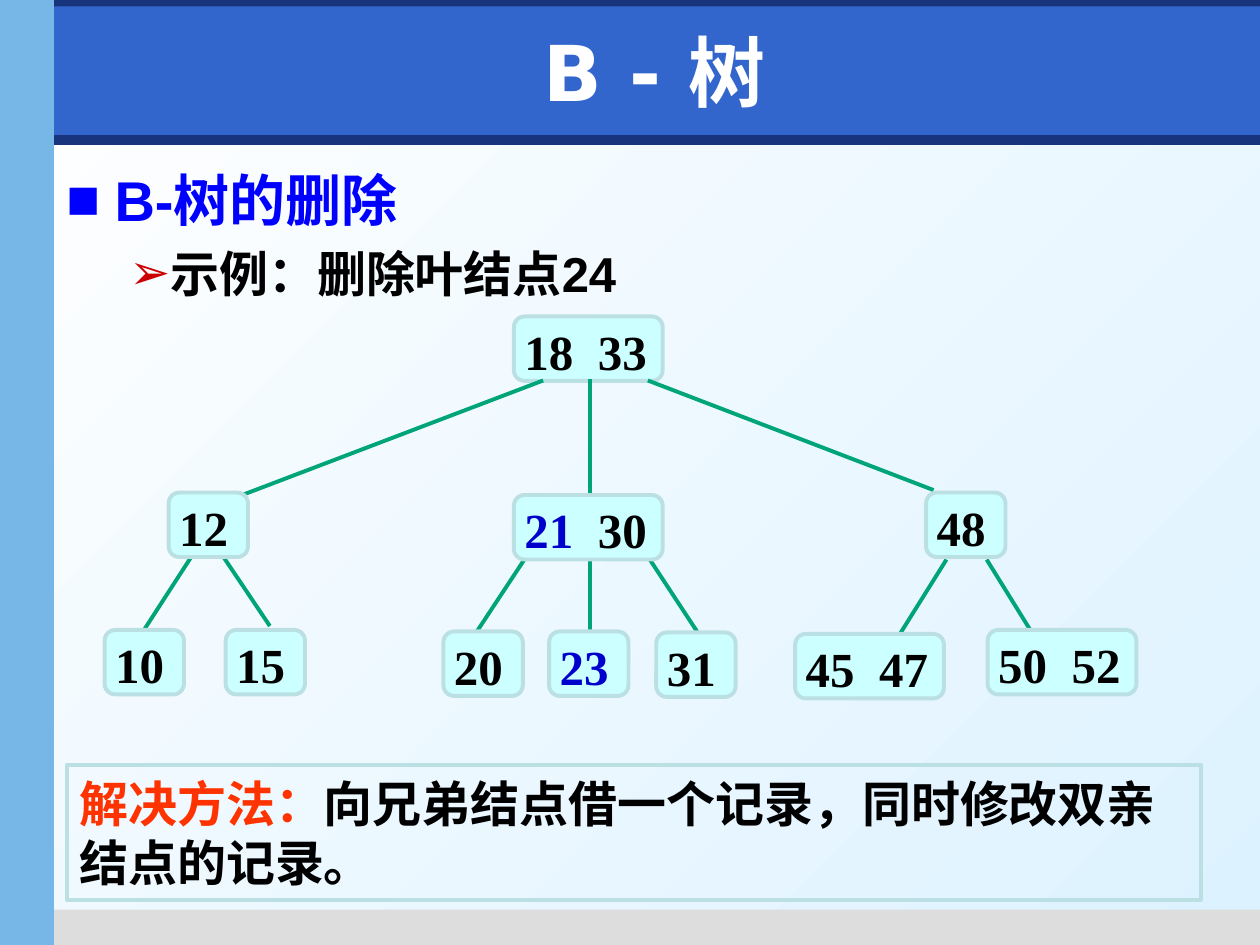
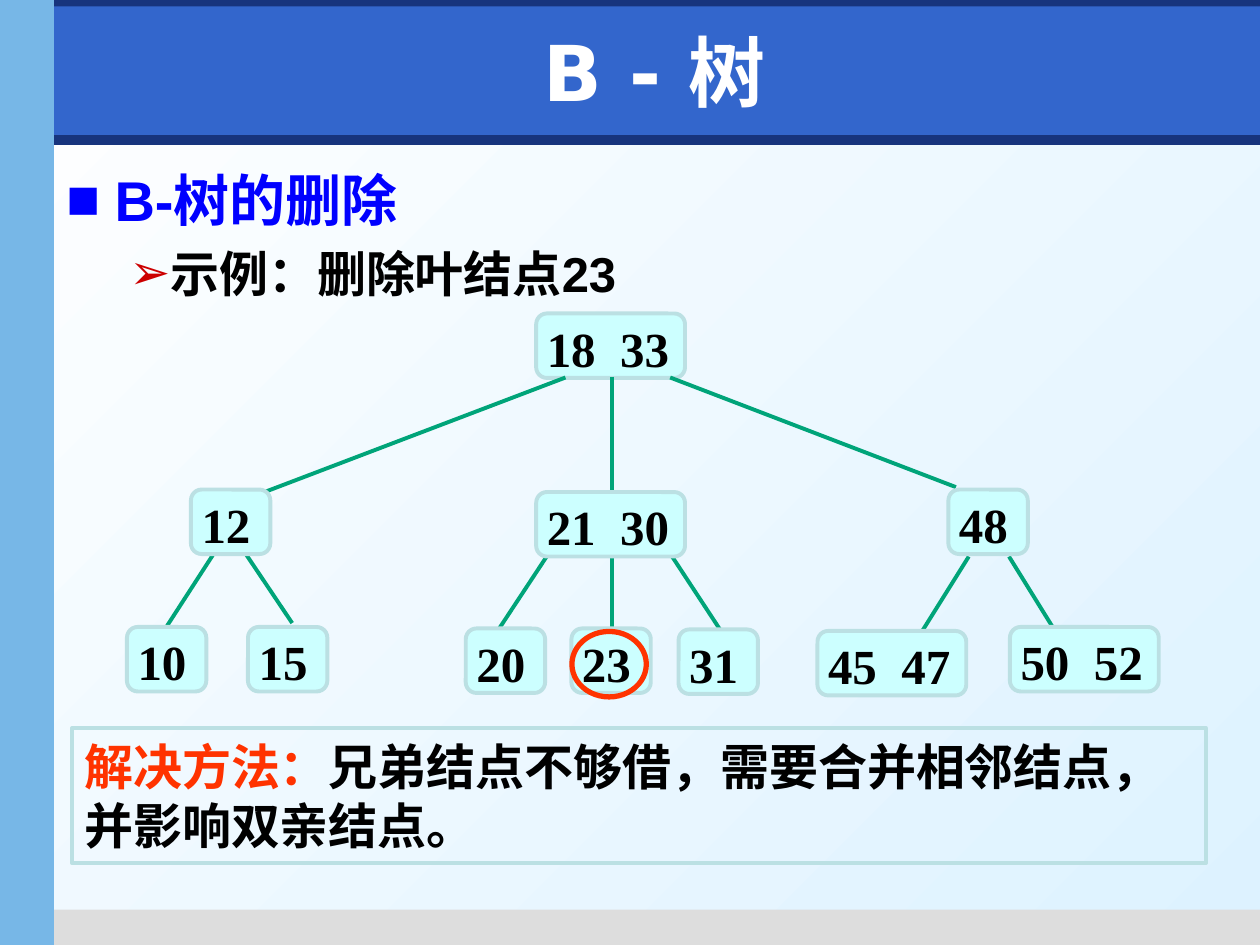
"""Builds two slides on deleting leaf nodes from a B-tree."""
from dataclasses import dataclass

from lxml import etree
from pptx import Presentation, util as u
from pptx.dml.color import RGBColor
from pptx.enum import shapes, text
from pptx.oxml.ns import qn


@dataclass(frozen=True)
class Theme:
    navy: str = "17347D"
    royal: str = "3366CC"
    sky: str = "77B7E7"
    grey: str = "DDDDDD"
    white: str = "FFFFFF"
    pale: str = "DDF2FF"
    black: str = "000000"
    heading: str = "0000FF"
    arrow: str = "CC0000"
    node: str = "CCFFFF"
    border: str = "BBE0E3"
    branch: str = "00A479"
    changed: str = "0000CC"
    alert: str = "FF3300"
    title_size: int = 44
    heading_size: int = 32
    text_size: int = 28
    line: float = 2.25
    ring_line: float = 3
    title_font: str = "DejaVu Sans"
    body_font: str = "Arial"
    node_font: str = "Times New Roman"


BANDS = [
    ("navy", 0.1, 2.72, 25.3, 0.2),
    ("grey", 0.89, 18.34, 24.51, 0.71),
    ("navy", 0, 0, 25.4, 0.53),
    ("royal", 1.09, 0.13, 24.31, 2.59),
    ("sky", 0, 0, 1.09, 19.05),
]
NODE_WIDTHS = {1: 1.6, 2: 3}
NODE_HEIGHT = 1.3
ROOT = ((18, 33), 10.36, 6.38)
CHILDREN = [
    ((12,), 3.4, 9.93), ((21, 30), 10.36, 9.98), ((48,), 18.67, 9.93),
    ((10,), 2.11, 12.7), ((15,), 4.55, 12.7),
    ((20,), 8.94, 12.73), ((23,), 11.07, 12.73), ((31,), 13.23, 12.75),
    ((45, 47), 16.03, 12.78), ((50, 52), 19.91, 12.7),
]
BRANCHES = [
    (10.95, 7.67, 4.88, 9.98), (11.89, 7.65, 11.89, 9.93),
    (13.06, 7.67, 18.82, 9.88),
    (3.84, 11.25, 2.87, 12.75), (4.52, 11.25, 5.44, 12.62),
    (10.57, 11.28, 9.58, 12.78), (11.89, 11.28, 11.89, 12.83),
    (13.08, 11.25, 14.15, 12.88),
    (19.08, 11.28, 18.11, 12.83), (19.89, 11.28, 20.85, 12.83),
]


def cm(*lengths):
    return [u.Cm(length) for length in lengths]


class Deck:
    def __init__(self, theme):
        self.theme = theme
        self.prs = Presentation()
        self.prs.slide_width, self.prs.slide_height = cm(25.4, 19.05)
        self.layout = self.prs.slide_layouts[5]
        self.slide = None

    def color(self, name):
        return RGBColor.from_string(getattr(self.theme, name))

    def start_slide(self, title):
        first = self.slide is None
        self.slide = self.prs.slides.add_slide(self.layout)
        if first:
            self.dress_layout()
        heading = self.slide.shapes.title
        heading.left, heading.top, heading.width, heading.height = cm(1.5, 0.33, 23.39, 2.21)
        frame = heading.text_frame
        frame.auto_size = text.MSO_AUTO_SIZE.NONE
        frame.vertical_anchor = text.MSO_ANCHOR.MIDDLE
        frame.paragraphs[0].alignment = text.PP_ALIGN.CENTER
        self.run(frame.paragraphs[0], title, "white", self.theme.title_size, self.theme.title_font)

    def dress_layout(self):
        for holder in list(self.layout.placeholders):
            if holder.placeholder_format.idx:
                self.layout.shapes.element.remove(holder.element)
        backdrop = self.layout.background.fill
        backdrop.gradient()
        backdrop.gradient_angle = 315
        for stop, name in zip(backdrop.gradient_stops, ("white", "pale")):
            stop.color.rgb = self.color(name)
        for fill, *box in BANDS:
            band = self.shape(shapes.MSO_SHAPE.RECTANGLE, box, fill)
            self.layout.shapes.element.append(band.element)

    def run(self, paragraph, words, color, size, font):
        run = paragraph.add_run()
        run.text = words
        run.font.name, run.font.size, run.font.bold = font, u.Pt(size), True
        run.font.color.rgb = self.color(color)

    def shape(self, preset, box, fill=None, line=None, weight=None):
        shape = self.slide.shapes.add_shape(preset, *cm(*box))
        shape.shadow.inherit = False
        if fill:
            shape.fill.solid()
            shape.fill.fore_color.rgb = self.color(fill)
        else:
            shape.fill.background()
        if line:
            shape.line.color.rgb = self.color(line)
            shape.line.width = u.Pt(weight or self.theme.line)
        else:
            shape.line.fill.background()
        return shape

    def bullet(self, paragraph, mark, color, margin, hang):
        props = paragraph._p.get_or_add_pPr()
        props.set("marL", str(u.Cm(margin)))
        props.set("indent", str(-u.Cm(hang)))
        tint = etree.SubElement(props, qn("a:buClr"))
        etree.SubElement(tint, qn("a:srgbClr"), val=getattr(self.theme, color))
        etree.SubElement(props, qn("a:buFont"), typeface=self.theme.body_font)
        etree.SubElement(props, qn("a:buChar"), char=mark)

    def outline(self, topic, example):
        frame = self.slide.shapes.add_textbox(*cm(1.09, 3.22, 23.8, 14.9)).text_frame
        frame.word_wrap = True
        head, sub = frame.paragraphs[0], frame.add_paragraph()
        self.bullet(head, "■", "heading", 0.97, 0.97)
        self.run(head, topic, "heading", self.theme.heading_size, self.theme.body_font)
        sub.level = 1
        self.bullet(sub, "➢", "arrow", 2.06, 0.79)
        sub.space_before = u.Pt(6)
        self.run(sub, example, "black", self.theme.text_size, self.theme.body_font)

    def node(self, keys, left, top, changed):
        box = (left, top, NODE_WIDTHS[len(keys)], NODE_HEIGHT)
        node = self.shape(shapes.MSO_SHAPE.ROUNDED_RECTANGLE, box, "node", "border")
        frame = node.text_frame
        frame.word_wrap = True
        frame.vertical_anchor = text.MSO_ANCHOR.TOP
        frame.margin_left, frame.margin_top, frame.margin_right, frame.margin_bottom = cm(
            0.15, 0.03, 0.05, 0.03)
        line = frame.paragraphs[0]
        line.alignment = text.PP_ALIGN.LEFT
        if len(keys) > 1:
            stops = etree.SubElement(line._p.get_or_add_pPr(), qn("a:tabLst"))
            etree.SubElement(stops, qn("a:tab"), pos=str(u.Cm(1.48)), algn="l")
        for place, key in enumerate(keys):
            color = "changed" if key in changed else "black"
            words = f"\t{key}" if place else str(key)
            self.run(line, words, color, self.theme.text_size, self.theme.node_font)

    def branch(self, x1, y1, x2, y2):
        branch = self.slide.shapes.add_connector(
            shapes.MSO_CONNECTOR.STRAIGHT, *cm(x1, y1, x2, y2))
        branch.line.color.rgb = self.color("branch")
        branch.line.width = u.Pt(self.theme.line)
        etree.SubElement(branch.element.spPr, qn("a:effectLst"))

    def tree(self, dx=0, dy=0, changed=()):
        keys, left, top = ROOT
        self.node(keys, left + dx, top + dy, changed)
        for x1, y1, x2, y2 in BRANCHES:
            self.branch(x1 + dx, y1 + dy, x2 + dx, y2 + dy)
        for keys, left, top in CHILDREN:
            self.node(keys, left + dx, top + dy, changed)

    def solution(self, left, top, method):
        box = (left, top, 22.86, 2.72)
        frame = self.shape(shapes.MSO_SHAPE.RECTANGLE, box, line="border").text_frame
        frame.word_wrap = True
        line = frame.paragraphs[0]
        line.alignment = text.PP_ALIGN.LEFT
        for words, color in (("解决方法：", "alert"), (method, "black")):
            self.run(line, words, color, self.theme.text_size, self.theme.node_font)

    def ring(self, *box):
        self.shape(shapes.MSO_SHAPE.OVAL, box, line="alert", weight=self.theme.ring_line)


def main():
    deck = Deck(Theme())

    deck.start_slide("B - 树")
    deck.outline("B-树的删除", "示例：删除叶结点24")
    deck.tree(changed=(21, 23))
    deck.solution(1.35, 15.42, "向兄弟结点借一个记录，同时修改双亲结点的记录。")

    deck.start_slide("B - 树")
    deck.outline("B-树的删除", "示例：删除叶结点23")
    deck.tree(dx=0.45, dy=-0.06)
    deck.solution(1.45, 14.68, "兄弟结点不够借，需要合并相邻结点，并影响双亲结点。")
    deck.ring(11.53, 12.73, 1.5, 1.32)

    deck.prs.save("out.pptx")


if __name__ == "__main__":
    main()
